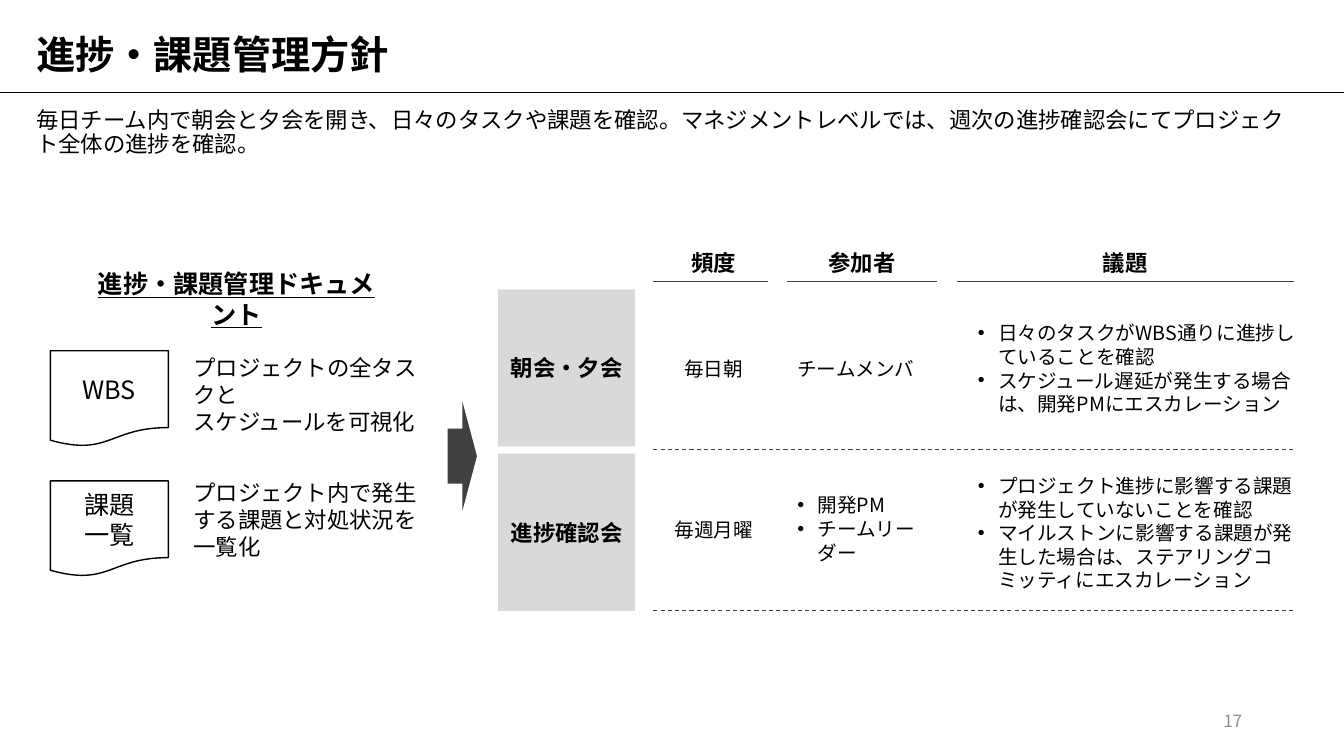
from lxml import etree
from pptx import Presentation
from pptx.dml.color import RGBColor
from pptx.enum.dml import MSO_LINE
from pptx.enum.shapes import MSO_CONNECTOR, MSO_SHAPE
from pptx.enum.text import MSO_ANCHOR, MSO_AUTO_SIZE, PP_ALIGN
from pptx.oxml.ns import qn
from pptx.util import Inches, Pt

BLACK = RGBColor(0x00, 0x00, 0x00)
WHITE = RGBColor(0xFF, 0xFF, 0xFF)
DARK = RGBColor(0x40, 0x40, 0x40)
GRAY = RGBColor(0x8C, 0x8C, 0x8C)
LIGHT = RGBColor(0xD9, 0xD9, 0xD9)

LEFT, CENTER, RIGHT = PP_ALIGN.LEFT, PP_ALIGN.CENTER, PP_ALIGN.RIGHT
TOP, MIDDLE = MSO_ANCHOR.TOP, MSO_ANCHOR.MIDDLE
STRAIGHT = MSO_CONNECTOR.STRAIGHT
DASH = MSO_LINE.DASH
RECT, DOCUMENT, ARROW = MSO_SHAPE.RECTANGLE, MSO_SHAPE.FLOWCHART_DOCUMENT, MSO_SHAPE.RIGHT_ARROW
NO_AUTOFIT = MSO_AUTO_SIZE.NONE
FONT = "Noto Sans CJK JP"

TEXT_H = 0.63
TABLE_LEFT, TABLE_RIGHT, HEADER_Y = 6.48, 12.83, 2.79

# heading, rule start, rule end, heading centre
COLUMNS = [
    ("頻度", 6.48, 7.62, 7.08),
    ("参加者", 7.81, 9.29, 8.55),
    ("議題", 9.49, 12.83, 11.16),
]
DOCUMENTS = [
    (["WBS"], "プロジェクトの全タスクと\nスケジュールを可視化", 3.48, 3.6),
    (["課題", "一覧"], "プロジェクト内で発生する課題と対処状況を一覧化", 4.77, 4.84),
]
# name, box top, rule y, then (lines, top) for frequency, members and agenda
MEETINGS = [
    ("朝会・夕会", 2.87, 4.46, (["毎日朝"], 3.34), (["チームメンバ"], 3.34),
     (["日々のタスクがWBS通りに進捗していることを確認",
       "スケジュール遅延が発生する場合は、開発PMにエスカレーション"], 3.34)),
    ("進捗確認会", 4.5, 6.06, (["毎週月曜"], 4.94), (["開発PM", "チームリーダー"], 4.93),
     (["プロジェクト進捗に影響する課題が発生していないことを確認",
       "マイルストンに影響する課題が発生した場合は、ステアリングコミッティにエスカレーション"], 4.97)),
]


def set_bullet(p, bullet):
    pPr = p._p.get_or_add_pPr()
    if bullet:
        pPr.set("marL", str(Inches(0.2)))
        pPr.set("indent", str(-Inches(0.2)))
        font = etree.Element(qn("a:buFont"), typeface="Arial")
        mark = etree.Element(qn("a:buChar"), char="•")
        pPr.insert_element_before(font, "a:defRPr")
        pPr.insert_element_before(mark, "a:defRPr")
    else:
        pPr.set("marL", "0")
        pPr.set("indent", "0")
        pPr.insert_element_before(etree.Element(qn("a:buNone")), "a:defRPr")


def write(sp, lines, size, align=LEFT, anchor=MIDDLE, bold=False, color=BLACK,
          underline=False, bullet=False):
    """Fill a shape with one paragraph per line, all in the same style."""
    tf = sp.text_frame
    tf.word_wrap = True
    tf.auto_size = NO_AUTOFIT
    tf.vertical_anchor = anchor
    for i, line in enumerate(lines):
        p = tf.paragraphs[0] if i == 0 else tf.add_paragraph()
        p.text = line
        p.alignment = align
        font = p.font
        font.name = FONT
        font.size = Pt(size)
        font.bold = bold
        font.underline = underline
        font.color.rgb = color
        east_asian = etree.Element(qn("a:ea"), typeface=FONT)
        p._p.pPr.find(qn("a:defRPr")).find(qn("a:latin")).addnext(east_asian)
        set_bullet(p, bullet)


def place(sp, x, y, w, h):
    sp.left, sp.top, sp.width, sp.height = Inches(x), Inches(y), Inches(w), Inches(h)


def add_text(s, lines, x, y, w, h, size, **style):
    sp = s.shapes.add_textbox(Inches(x), Inches(y), Inches(w), Inches(h))
    write(sp, lines, size, **style)


def add_block(s, kind, x, y, w, h, fill, outlined=False):
    sp = s.shapes.add_shape(kind, Inches(x), Inches(y), Inches(w), Inches(h))
    sp.shadow.inherit = False
    sp.fill.solid()
    sp.fill.fore_color.rgb = fill
    if outlined:
        sp.line.color.rgb = BLACK
        sp.line.width = Pt(1)
    else:
        sp.line.fill.background()
    return sp


def add_rule(s, x1, x2, y, color=DARK, width=0.75, dash=None):
    line = s.shapes.add_connector(STRAIGHT, Inches(x1), Inches(y), Inches(x2), Inches(y))
    line.line.color.rgb = color
    line.line.width = Pt(width)
    if dash:
        line.line.dash_style = dash
    etree.SubElement(line._element.spPr, qn("a:effectLst"))


def add_headings(s):
    title, body = s.placeholders
    place(title, 0.26, 0.21, 12.69, 0.7)
    write(title, ["進捗・課題管理方針"], 28, bold=True)
    place(body, 0.26, 1.03, 12.69, 0.38)
    write(body, ["毎日チーム内で朝会と夕会を開き、日々のタスクや課題を確認。"
                 "マネジメントレベルでは、週次の進捗確認会にてプロジェクト全体の進捗を確認。"],
          16, anchor=TOP)
    for sp in (title, body):
        sp.text_frame.paragraphs[0].line_spacing = 0.9
    body.text_frame.paragraphs[0].space_before = Pt(10)
    add_rule(s, 0, 13.33, 0.92, BLACK, 0.5)


def add_documents(s):
    add_text(s, ["進捗・課題管理ドキュメント"], 0.79, 2.65, 3.11, TEXT_H, 18,
             align=CENTER, bold=True, underline=True)
    for name, purpose, y, text_y in DOCUMENTS:
        sp = add_block(s, DOCUMENT, 0.5, y, 1.17, 0.95, WHITE, outlined=True)
        write(sp, name, 18, align=CENTER)
        add_text(s, [purpose], 1.82, text_y, 2.57, TEXT_H, 16)


def add_meetings(s):
    for heading, x1, x2, center in COLUMNS:
        add_text(s, [heading], center - 0.5, 2.42, 1, 0.37, 16,
                 align=CENTER, anchor=TOP, bold=True)
        add_rule(s, x1, x2, HEADER_Y)
    for name, y, rule_y, (when, when_y), (members, members_y), (agenda, agenda_y) in MEETINGS:
        sp = add_block(s, RECT, 4.94, y, 1.36, 1.56, LIGHT)
        write(sp, [name], 16, align=CENTER, bold=True)
        add_text(s, when, TABLE_LEFT, when_y, 1.2, TEXT_H, 14, align=CENTER)
        add_text(s, members, 7.81, members_y, 1.61, TEXT_H, 14, bullet=len(members) > 1)
        add_text(s, agenda, 9.6, agenda_y, 3.35, TEXT_H, 14, bullet=True)
        add_rule(s, TABLE_LEFT, TABLE_RIGHT, rule_y, dash=DASH)


def main():
    prs = Presentation()
    prs.slide_width, prs.slide_height = Inches(13.33), Inches(7.5)
    s = prs.slides.add_slide(prs.slide_layouts[1])
    add_headings(s)
    add_documents(s)
    add_block(s, ARROW, 4.44, 3.98, 0.29, 1.09, DARK)
    add_meetings(s)
    add_text(s, ["17"], 9.42, 6.95, 3, 0.4, 12, align=RIGHT, color=GRAY)
    prs.save("out.pptx")


if __name__ == "__main__":
    main()
